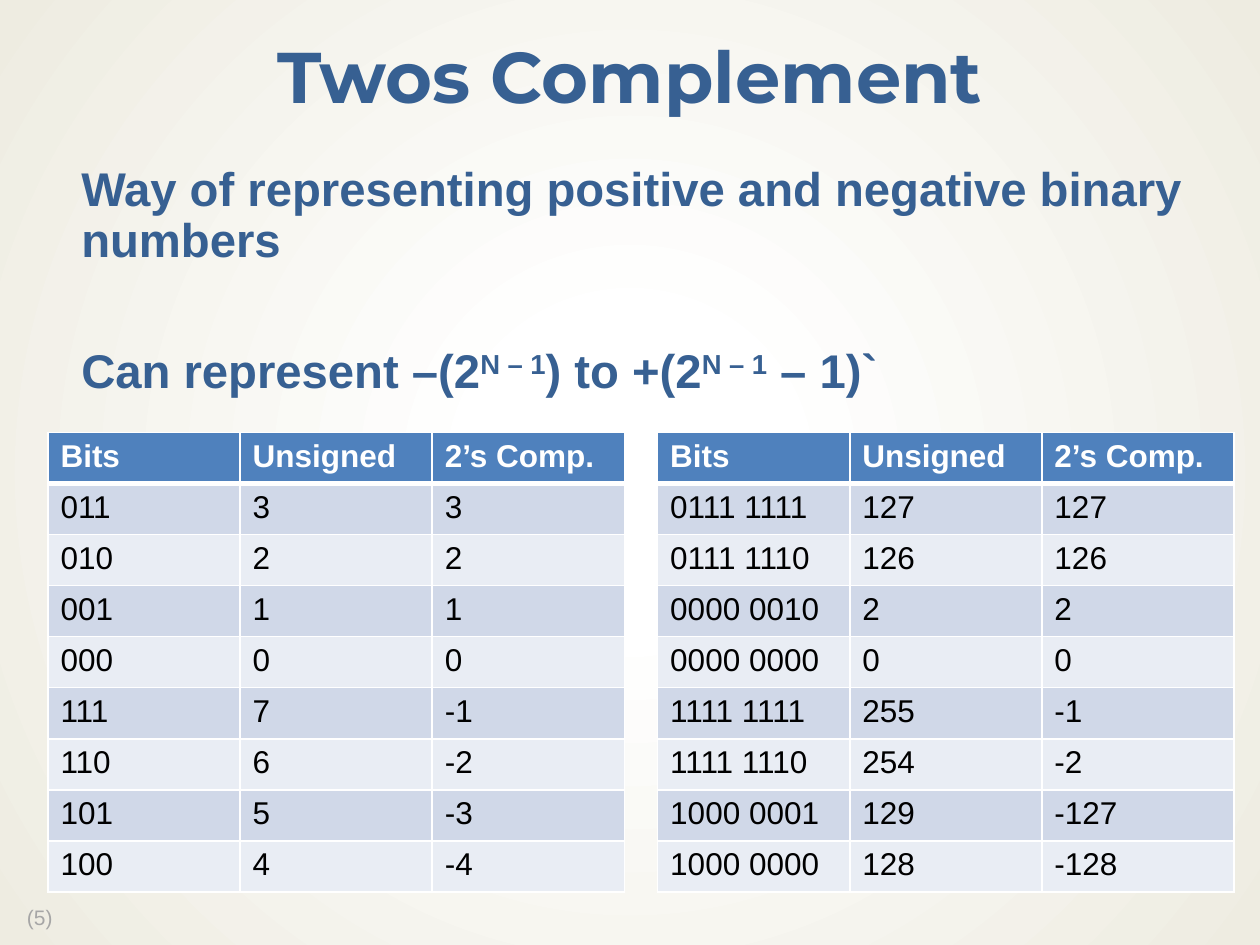
from dataclasses import dataclass

from lxml import etree
from pptx import Presentation
from pptx.dml.color import RGBColor
from pptx.enum.text import MSO_ANCHOR, MSO_AUTO_SIZE, PP_ALIGN
from pptx.oxml import parse_xml
from pptx.oxml.ns import nsdecls, qn
from pptx.util import Pt

CENTER = PP_ALIGN.CENTER
LEFT = PP_ALIGN.LEFT
MIDDLE = MSO_ANCHOR.MIDDLE
TOP = MSO_ANCHOR.TOP
NO_AUTOFIT = MSO_AUTO_SIZE.NONE


@dataclass(frozen=True)
class Theme:
    title_font: str = "Montserrat"
    text_font: str = "Arial"
    heading: str = "376092"
    header_fill: str = "4F81BD"
    odd_fill: str = "D0D8E8"
    even_fill: str = "E9EDF4"
    white: str = "FFFFFF"
    black: str = "000000"
    grey: str = "A6A6A6"
    backdrop: str = "EEECE1"
    title_size: float = 41
    body_size: float = 27
    table_size: float = 18
    number_size: float = 12


THEME = Theme()
HEADER = ("Bits", "Unsigned", "2’s Comp.")
THREE_BIT_ROWS = [
    ("011", "3", "3"), ("010", "2", "2"), ("001", "1", "1"), ("000", "0", "0"),
    ("111", "7", "-1"), ("110", "6", "-2"), ("101", "5", "-3"), ("100", "4", "-4"),
]
EIGHT_BIT_ROWS = [
    ("0111 1111", "127", "127"), ("0111 1110", "126", "126"),
    ("0000 0010", "2", "2"), ("0000 0000", "0", "0"),
    ("1111 1111", "255", "-1"), ("1111 1110", "254", "-2"),
    ("1000 0001", "129", "-127"), ("1000 0000", "128", "-128"),
]


def add_text(para, text, *, size, color, font=THEME.text_font, bold=False, raised=False):
    span = para.add_run()
    span.text = text
    span.font.name = font
    span.font.size = Pt(size)
    span.font.bold = bold
    span.font.color.rgb = RGBColor.from_string(color)
    if raised:
        span.font._element.set("baseline", "30000")


def place(shape, box):
    shape.left, shape.top, shape.width, shape.height = (Pt(value) for value in box)


def set_frame(frame, inset_x, inset_y, anchor):
    frame.word_wrap = True
    frame.auto_size = NO_AUTOFIT
    frame.vertical_anchor = anchor
    frame.margin_left = frame.margin_right = Pt(inset_x)
    frame.margin_top = frame.margin_bottom = Pt(inset_y)


def paint_background(page):
    page.background.fill.solid()
    properties = page.background._cSld.bg.bgPr
    properties.replace(properties[0], parse_xml(
        f'<a:gradFill {nsdecls("a")} rotWithShape="1"><a:gsLst>'
        f'<a:gs pos="18000"><a:srgbClr val="{THEME.white}"/></a:gs>'
        f'<a:gs pos="100000"><a:srgbClr val="{THEME.backdrop}"/></a:gs></a:gsLst>'
        '<a:path path="circle"><a:fillToRect l="50000" t="50000" r="50000" b="50000"/>'
        '</a:path></a:gradFill>'))


def fill_title(title, box):
    place(title, box)
    set_frame(title.text_frame, 9, 4.5, MIDDLE)
    para = title.text_frame.paragraphs[0]
    para.alignment = CENTER
    para.line_spacing = 0.9
    add_text(para, "Twos Complement", size=THEME.title_size, color=THEME.heading,
             font=THEME.title_font, bold=True)


def fill_body(body, box):
    place(body, box)
    frame = body.text_frame
    set_frame(frame, 9, 4.5, TOP)
    points = [
        (0, [("Way of representing positive and negative binary numbers", False)]),
        (46, [("Can represent –(2", False), ("N – 1", True), (") to +(2", False),
              ("N – 1", True), (" – 1)`", False)]),
    ]
    for index, (gap, spans) in enumerate(points):
        para = frame.add_paragraph() if index else frame.paragraphs[0]
        para.alignment = LEFT
        para.line_spacing = 0.9
        para.space_before = Pt(gap)
        properties = para._p.get_or_add_pPr()
        properties.set("marL", str(Pt(10)))
        properties.set("indent", "0")
        etree.SubElement(properties, qn("a:buNone"))
        for text, raised in spans:
            add_text(para, text, size=THEME.body_size, color=THEME.heading,
                     bold=True, raised=raised)


def set_borders(cell, widths):
    properties = cell._tc.get_or_add_tcPr()
    for position, (side, width) in enumerate(widths.items()):
        properties.insert(position, parse_xml(
            f'<a:{side} {nsdecls("a")} w="{Pt(width)}"><a:solidFill>'
            f'<a:srgbClr val="{THEME.white}"/></a:solidFill></a:{side}>'))


def add_number_table(page, box, rows):
    lines = [HEADER, *rows]
    left, top, width, height = (Pt(value) for value in box)
    table = page.shapes.add_table(len(lines), len(HEADER), left, top, width, height).table
    for row_index, line in enumerate(lines):
        is_header = row_index == 0
        banded = THEME.odd_fill if row_index % 2 else THEME.even_fill
        fill = THEME.header_fill if is_header else banded
        top_width = 3 if row_index == 1 else 1
        bottom_width = 3 if is_header else 1
        for column_index, text in enumerate(line):
            cell = table.cell(row_index, column_index)
            cell.fill.solid()
            cell.fill.fore_color.rgb = RGBColor.from_string(fill)
            set_borders(cell, {"lnL": 1, "lnR": 1, "lnT": top_width, "lnB": bottom_width})
            add_text(cell.text_frame.paragraphs[0], text, size=THEME.table_size,
                     color=THEME.white if is_header else THEME.black, bold=is_header)


def add_page_number(page, box):
    left, top, width, height = (Pt(value) for value in box)
    frame = page.shapes.add_textbox(left, top, width, height).text_frame
    set_frame(frame, 7.2, 3.6, TOP)
    frame.word_wrap = False
    para = frame.paragraphs[0]
    para.line_spacing = 0.9
    add_text(para, " (5)", size=THEME.number_size, color=THEME.grey)


def main():
    deck = Presentation()
    deck.slide_width, deck.slide_height = Pt(720), Pt(540)
    page = deck.slides.add_slide(deck.slide_layouts[1])
    paint_background(page)
    add_page_number(page, (5, 514.8, 40, 20))
    fill_title(page.shapes.title, (0, 12.2, 720, 67.7))
    fill_body(page.placeholders[1], (27.4, 90, 666, 406.8))
    for left, rows in ((27.4, THREE_BIT_ROWS), (375.8, EIGHT_BIT_ROWS)):
        add_number_table(page, (left, 247, 329.4, 262.8), rows)
    deck.save("out.pptx")


if __name__ == "__main__":
    main()
